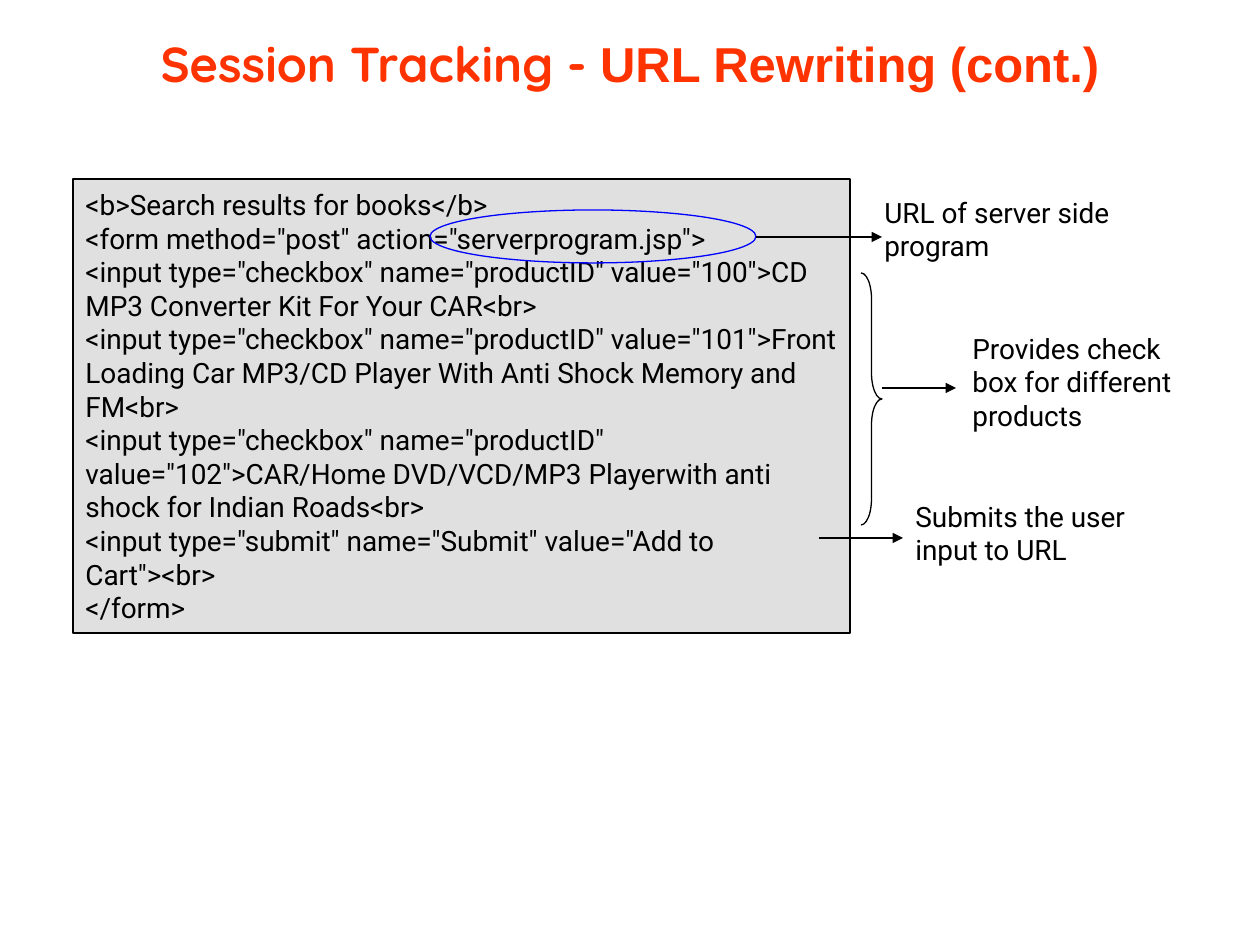
from dataclasses import dataclass
from pptx import Presentation
from pptx.dml.color import RGBColor
from pptx.enum.shapes import MSO_CONNECTOR as Link, MSO_SHAPE as Kind
from pptx.enum.text import MSO_ANCHOR as Anchor, PP_ALIGN as Align
from pptx.oxml.ns import qn
from pptx.util import Pt
from lxml.etree import SubElement as Sub


@dataclass(frozen=True)
class Theme:
    ink: str = "000000"
    title: str = "FF3300"
    panel: str = "E0E0E0"
    ring: str = "0000FF"
    body: str = "Roboto"
    head: str = "Quicksand"
    alt: str = "Arial"
    small: int = 16
    large: int = 28
    rule: float = 0.75


T = Theme()
SCALE = 914400 / 126

CODE = [
    """<b>Search results for books</b>
<form method="post" action="serverprogram.jsp">
<input type="checkbox" name="productID" value="100">CD MP3 Converter Kit For Your CAR<br>
<input type="checkbox" name="productID" value="101">Front Loading Car MP3/CD Player With Anti Shock Memory and FM<br>""",
    """<input type="checkbox" name="productID" value="102">CAR/Home DVD/VCD/MP3 Playerwith anti shock for Indian Roads<br>
<input type="submit" name="Submit" value="Add to Cart"><br>
</form>""",
]


def px(*nums):
    return [round(n * SCALE) for n in nums]


def write(para, text, font=T.body, size=T.small, color=T.ink, bold=False,
          align=Align.LEFT):
    para.alignment = align
    for i, line in enumerate(text.split("\n")):
        if i:
            para.add_line_break()
        run = para.add_run()
        run.text = line
        run.font.name = font
        run.font.size = Pt(size)
        run.font.bold = bold
        run.font.color.rgb = RGBColor.from_string(color)


def stroke(line, color=T.ink):
    line.color.rgb = RGBColor.from_string(color)
    line.width = Pt(T.rule)


def draw(slide, kind, box, fill=None, color=T.ink):
    shape = slide.shapes.add_shape(kind, *px(*box))
    shape.shadow.inherit = False
    if fill:
        shape.fill.solid()
        shape.fill.fore_color.rgb = RGBColor.from_string(fill)
    else:
        shape.fill.background()
    stroke(shape.line, color)
    return shape


def arrow(slide, x, y, w):
    link = slide.shapes.add_connector(Link.STRAIGHT, *px(x, y, x + w, y))
    stroke(link.line)
    Sub(link.line._get_or_add_ln(), qn("a:tailEnd"), type="triangle")
    Sub(link._element.spPr, qn("a:effectLst"))


def title(slide, box):
    head = slide.shapes.title
    head.left, head.top, head.width, head.height = px(*box)
    frame = head.text_frame
    frame.vertical_anchor = Anchor.MIDDLE
    para = frame.paragraphs[0]
    style = dict(size=T.large, color=T.title, bold=True, align=Align.CENTER)
    write(para, "Session Tracking - ", font=T.head, **style)
    write(para, "URL Rewriting (cont.)", font=T.alt, **style)


def code(slide, box):
    x, y, w, h = box
    panel = draw(slide, Kind.RECTANGLE, box, T.panel)
    frame = panel.text_frame
    frame.word_wrap = True
    frame.vertical_anchor = Anchor.MIDDLE
    for i, text in enumerate(CODE):
        para = frame.add_paragraph() if i else frame.paragraphs[0]
        write(para, text)
    draw(slide, Kind.OVAL, (x + 357, y + 31, 326, 53), color=T.ring)


def label(slide, box, text):
    frame = slide.shapes.add_textbox(*px(*box)).text_frame
    frame.word_wrap = True
    write(frame.paragraphs[0], text)


def notes(slide, box):
    x, y, w, h = box
    brace = draw(slide, Kind.RIGHT_BRACE, (x + 105, y + 84, 21, 252))
    brace.adjustments[0] = 1.25
    for ax, ay, aw, tx, ty, tw, th, text in (
        (0, 48, 126, 116, 0, 252, 88, "URL of server side program"),
        (126, 199, 74, 204, 136, 262, 126,
         "Provides check box for different products"),
        (63, 349, 84, 147, 304, 262, 88, "Submits the user input to URL"),
    ):
        arrow(slide, x + ax, y + ay, aw)
        label(slide, (x + tx, y + ty, tw, th), text)


def main():
    deck = Presentation()
    deck.slide_width, deck.slide_height = px(1260, 945)
    slide = deck.slides.add_slide(deck.slide_layouts[5])
    title(slide, (63, 0, 1134, 126))
    code(slide, (73, 179, 777, 454))
    notes(slide, (756, 189, 466, 392))
    deck.save("out.pptx")


if __name__ == "__main__":
    main()
